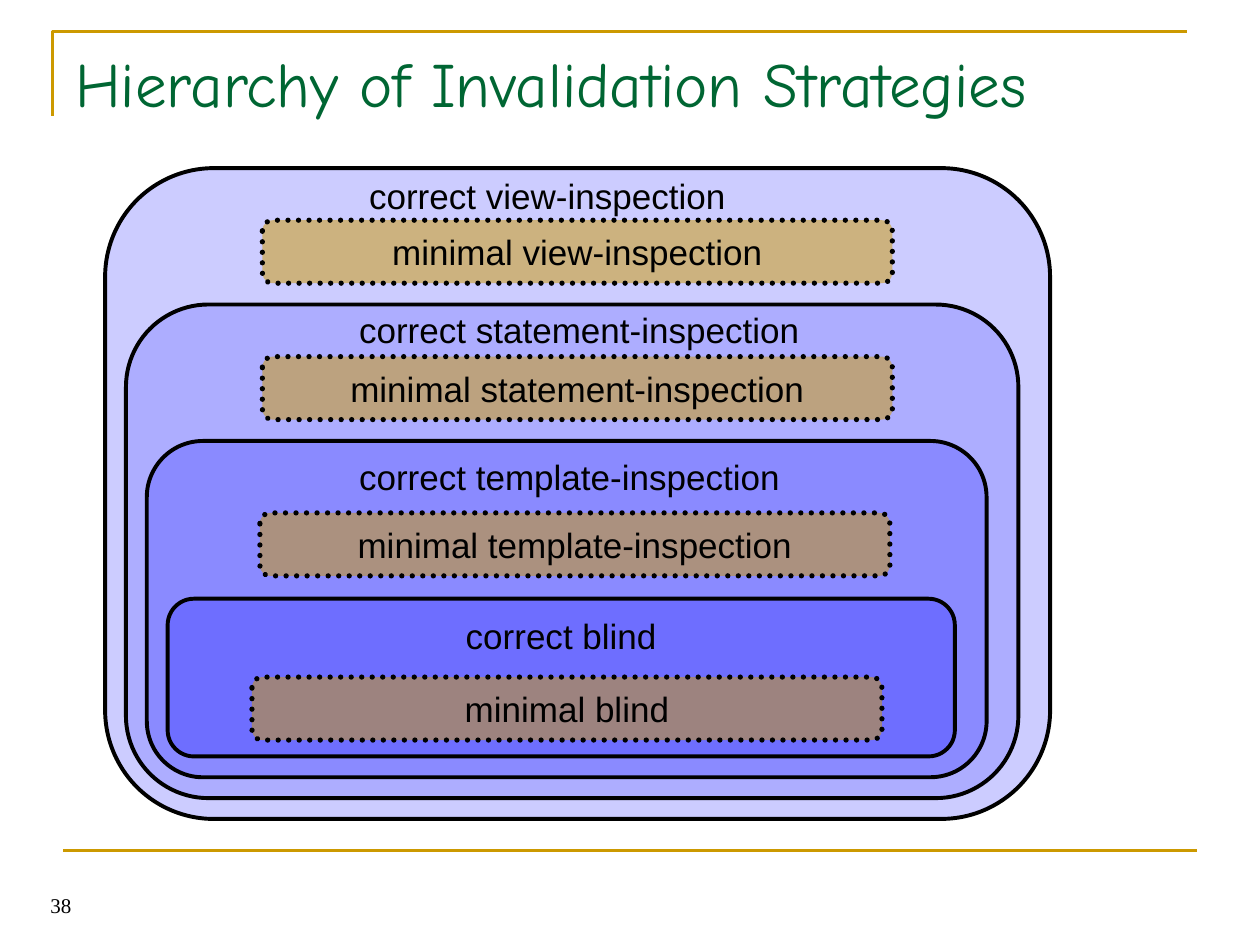
from dataclasses import dataclass

from lxml import etree
from pptx import Presentation
from pptx.dml.color import RGBColor
from pptx.enum.dml import MSO_LINE
from pptx.enum.shapes import MSO_CONNECTOR, MSO_SHAPE
from pptx.enum.text import MSO_ANCHOR, PP_ALIGN
from pptx.oxml.ns import qn
from pptx.util import Cm, Pt

LEFT, CENTER, RIGHT = PP_ALIGN.LEFT, PP_ALIGN.CENTER, PP_ALIGN.RIGHT
TOP, MIDDLE, BOTTOM = MSO_ANCHOR.TOP, MSO_ANCHOR.MIDDLE, MSO_ANCHOR.BOTTOM
ROUNDED, STRAIGHT = MSO_SHAPE.ROUNDED_RECTANGLE, MSO_CONNECTOR.STRAIGHT
ROUND_DOT = MSO_LINE.ROUND_DOT


@dataclass(frozen=True)
class Theme:
    gold: str = "CC9900"
    blue: str = "0000FF"
    black: str = "000000"
    green: str = "006633"
    title_size: int = 36
    label_size: int = 20
    number_size: int = 12
    title_font: str = "Comic Neue"
    label_font: str = "Arial"
    number_font: str = "Times New Roman"


theme = Theme()


def write(shape, text, size, font, color, align=LEFT, anchor=TOP, wrap=True):
    """Fill the shape with one paragraph of a single run."""
    frame = shape.text_frame
    frame.word_wrap = wrap
    frame.vertical_anchor = anchor
    paragraph = frame.paragraphs[0]
    paragraph.alignment = align
    run = paragraph.add_run()
    run.text = text
    run.font.name = font
    run.font.size = Pt(size)
    run.font.color.rgb = RGBColor.from_string(color)


def add_round_box(left, top, width, height, color, opacity, line_width):
    """Add a rounded box with a see-through fill; opacity is in percent."""
    shape = slide.shapes.add_shape(
        ROUNDED, Cm(left), Cm(top), Cm(width), Cm(height))
    shape.adjustments[0] = 0.167
    shape.shadow.inherit = False
    shape.fill.solid()
    shape.fill.fore_color.rgb = RGBColor.from_string(color)
    fill_color = shape.fill._xPr.find(qn("a:solidFill"))[0]
    etree.SubElement(fill_color, qn("a:alpha")).set("val", str(opacity * 1000))
    shape.line.color.rgb = RGBColor.from_string(theme.black)
    shape.line.width = Pt(line_width)
    return shape


presentation = Presentation()
presentation.slide_width, presentation.slide_height = Cm(25.4), Cm(19.05)
slide = presentation.slides.add_slide(presentation.slide_layouts[6])

# Gold corner and footer rule
builder = slide.shapes.build_freeform(Cm(1.06), Cm(2.33))
builder.add_line_segments(
    [(Cm(1.06), Cm(0.64)), (Cm(23.92), Cm(0.64))], close=False)
corner = builder.convert_to_shape()
corner.shadow.inherit = False
corner.fill.background()
footer_rule = slide.shapes.add_connector(
    STRAIGHT, Cm(1.27), Cm(17.15), Cm(24.13), Cm(17.15))
etree.SubElement(footer_rule._element.spPr, qn("a:effectLst"))
for rule in (corner, footer_rule):
    rule.line.color.rgb = RGBColor.from_string(theme.gold)
    rule.line.width = Pt(1.5)

# Title and slide number
title = slide.shapes.add_textbox(Cm(1.27), Cm(0.78), Cm(22.86), Cm(3.18))
write(title, "Hierarchy of Invalidation Strategies", theme.title_size,
      theme.title_font, theme.green)
number = slide.shapes.add_textbox(Cm(0), Cm(17.35), Cm(1.69), Cm(1.27))
write(number, "38", theme.number_size,
      theme.number_font, theme.black, RIGHT, BOTTOM)

# Nested strategies, outermost first:
# name, box top, opacity, label left and top, bar left and top
strategies = [
    ("view-inspection", 3.39, 20, 7.19, 3.39, 5.29, 4.44),
    ("statement-inspection", 6.14, 15, 6.99, 6.1, 5.29, 7.19),
    ("template-inspection", 8.89, 20, 6.99, 9.06, 5.24, 10.34),
    ("blind", 12.07, 20, None, None, 5.08, 13.65),
]
for depth, (name, top, opacity, label_left, label_top,
            bar_left, bar_top) in enumerate(strategies):
    left = 2.12 + 0.42 * depth
    right = 21.17 - 0.64 * depth
    bottom = 16.51 - 0.42 * depth
    box = add_round_box(left, top, right - left, bottom - top,
                        theme.blue, opacity, 2.25)
    if label_left is None:
        label, align = box, CENTER
        box.text_frame.margin_top = Cm(0.16)
    else:
        label, align = slide.shapes.add_textbox(
            Cm(label_left), Cm(label_top), Cm(12.5), Cm(1.11)), LEFT
    write(label, "correct " + name, theme.label_size,
          theme.label_font, theme.black, align)

    bar = add_round_box(bar_left, bar_top, 12.7, 1.27, theme.gold, 50, 3)
    bar.line.dash_style = ROUND_DOT
    bar.line._get_or_add_ln().set("cap", "rnd")
    write(bar, "minimal " + name, theme.label_size,
          theme.label_font, theme.black, CENTER, MIDDLE, wrap=False)

presentation.save("out.pptx")
